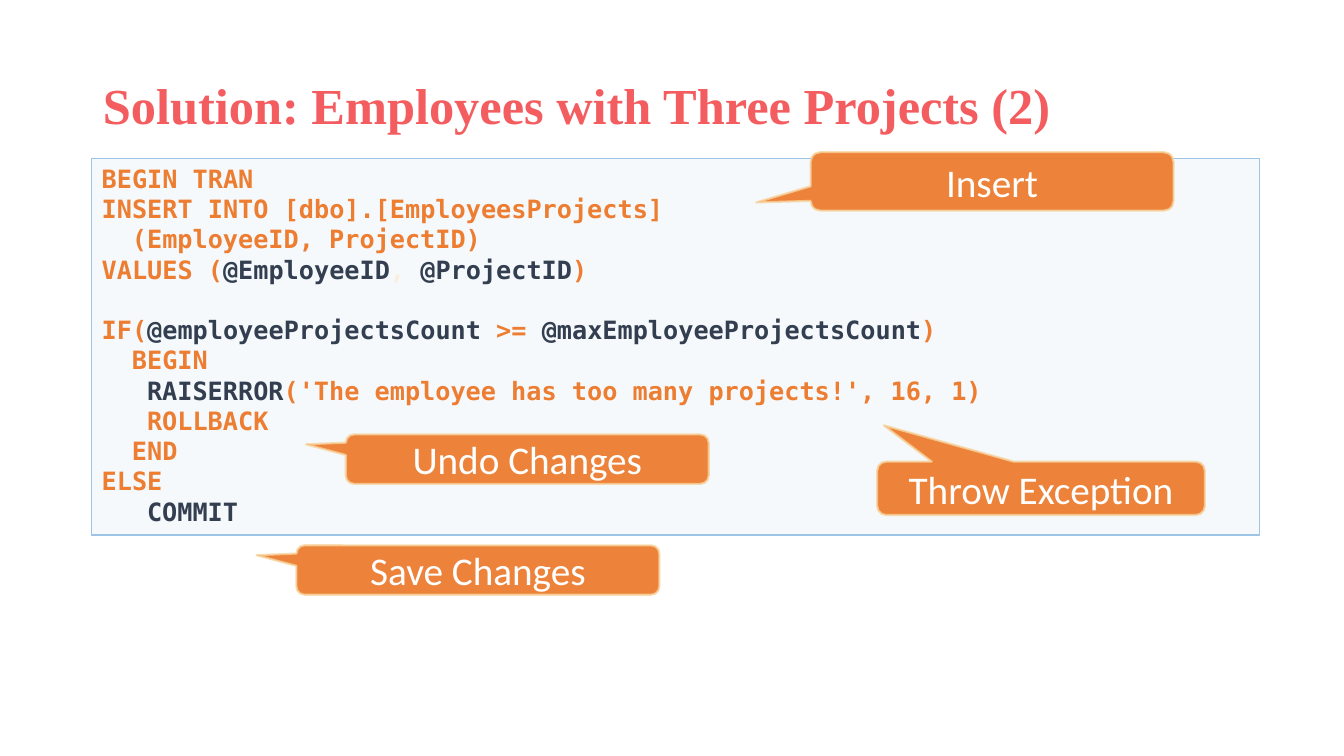
import pptx
import pptx.dml.color
import pptx.enum.shapes
import pptx.enum.text
import pptx.oxml.ns
import pptx.oxml.xmlchemy
import pptx.util

Inches, Pt = pptx.util.Inches, pptx.util.Pt
ALIGN = pptx.enum.text.PP_ALIGN
ANCHOR = pptx.enum.text.MSO_ANCHOR
SHAPE = pptx.enum.shapes.MSO_SHAPE

# Content
COLORS = {
    "title": "F45D60", "keyword": "ED7D31", "name": "333F50", "pale": "FBEEDC",
    "panel": "BDD7EE", "panel_line": "9DC3E6",
    "callout": "ED7D31", "callout_line": "F8D49E", "callout_text": "FFFFFF",
}
TITLE = "Solution: Employees with Three Projects (2)"

# Each code line: indent in characters, blank lines above, coloured spans
CODE = [
    (0, 0, [("BEGIN TRAN", "keyword")]),
    (0, 0, [("INSERT INTO [dbo].[EmployeesProjects]", "keyword")]),
    (2, 0, [("(EmployeeID, ProjectID)", "keyword")]),
    (0, 0, [("VALUES (", "keyword"), ("@EmployeeID", "name"), (", ", "pale"),
            ("@ProjectID", "name"), (")", "keyword")]),
    (0, 1, [("IF(", "keyword"), ("@employeeProjectsCount ", "name"), (">= ", "keyword"),
            ("@maxEmployeeProjectsCount", "name"), (")", "keyword")]),
    (2, 0, [("BEGIN", "keyword")]),
    (3, 0, [("RAISERROR", "name"),
            ("('The employee has too many projects!', 16, 1)", "keyword")]),
    (3, 0, [("ROLLBACK", "keyword")]),
    (2, 0, [("END", "keyword")]),
    (0, 0, [("ELSE", "keyword")]),
    (3, 0, [("COMMIT", "name")]),
]
CHARACTER_WIDTH = 0.15  # inches
LINE_HEIGHT = 21.6  # points

# Each callout: text, (left, top, width, height), pointer tip relative to the centre
CALLOUTS = [
    ("Insert", (8.04, 1.51, 3.6, 0.58), (-0.65, 0.36)),
    ("Undo Changes", (3.43, 4.31, 3.6, 0.49), (-0.61, -0.3)),
    ("Throw Exception", (8.7, 4.58, 3.25, 0.53), (-0.48, -1.18)),
    ("Save Changes", (2.94, 5.41, 3.6, 0.49), (-0.61, -0.3)),
]


def color(name):
    return pptx.dml.color.RGBColor.from_string(COLORS[name])


def set_opacity(fill_format, percent):
    """Add an alpha value to the colour of a solid fill."""
    parent = fill_format._xPr
    value = parent.find(".//" + pptx.oxml.ns.qn("a:solidFill"))[0]
    alpha = pptx.oxml.xmlchemy.OxmlElement("a:alpha")
    alpha.set("val", str(percent * 1000))
    value.append(alpha)


def add_box(kind, place, fill, fill_opacity, line, line_width):
    box = page.shapes.add_shape(kind, *map(Inches, place))
    box.shadow.inherit = False
    box.fill.solid()
    box.fill.fore_color.rgb = color(fill)
    set_opacity(box.fill, fill_opacity)
    box.line.color.rgb = color(line)
    box.line.width = Pt(line_width)
    box.text_frame.word_wrap = True
    return box


def style(span, font, size, color_name, bold=False):
    span.font.name = font
    span.font.size = Pt(size)
    span.font.bold = bold
    span.font.color.rgb = color(color_name)


deck = pptx.Presentation()
deck.slide_width, deck.slide_height = Inches(13.33), Inches(7.5)
page = deck.slides.add_slide(deck.slide_layouts[5])

# Title
title = page.shapes.title
title.left, title.top, title.width, title.height = map(Inches, (0.92, 0.35, 11.5, 1.45))
title.text_frame.text = TITLE
title.text_frame.vertical_anchor = ANCHOR.MIDDLE
title.text_frame.auto_size = pptx.enum.text.MSO_AUTO_SIZE.NONE
heading = title.text_frame.paragraphs[0]
heading.alignment = ALIGN.LEFT
heading.line_spacing = 0.9
style(heading.runs[0], "Times New Roman", 36, "title", bold=True)

# Code panel
panel = add_box(SHAPE.RECTANGLE, (0.91, 1.57, 11.58, 3.74), "panel", 15, "panel_line", 1)
frame = panel.text_frame
frame.vertical_anchor = ANCHOR.TOP
for number, (indent, blank_lines, spans) in enumerate(CODE):
    para = frame.add_paragraph() if number else frame.paragraphs[0]
    para.alignment = ALIGN.LEFT
    para.space_before = Pt(blank_lines * LINE_HEIGHT)
    properties = para._p.get_or_add_pPr()
    properties.set("marL", str(Inches(indent * CHARACTER_WIDTH)))
    properties.set("indent", "0")
    for text, color_name in spans:
        span = para.add_run()
        span.text = text
        style(span, "DejaVu Sans Mono", 18, color_name, bold=True)

# Callouts
for text, place, tip in CALLOUTS:
    callout = add_box(SHAPE.ROUNDED_RECTANGULAR_CALLOUT, place,
                      "callout", 95, "callout_line", 1.5)
    set_opacity(callout.line.fill, 80)
    callout.adjustments[0], callout.adjustments[1] = tip
    callout.text_frame.text = text
    callout.text_frame.vertical_anchor = ANCHOR.MIDDLE
    label = callout.text_frame.paragraphs[0]
    label.alignment = ALIGN.CENTER
    style(label.runs[0], "Calibri", 28, "callout_text")

deck.save("out.pptx")
